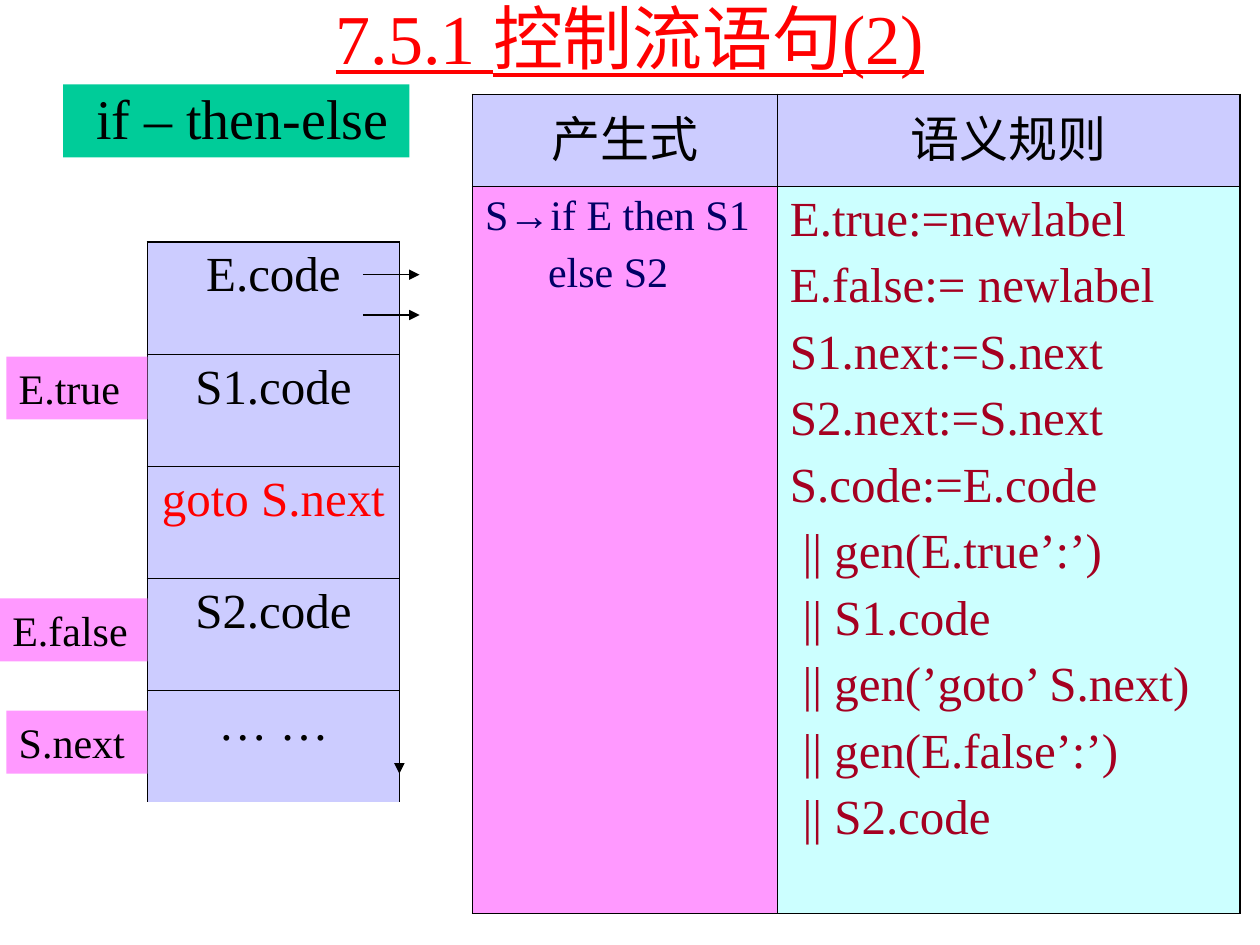
from dataclasses import dataclass

import pptx
import pptx.dml.color
import pptx.enum.shapes
import pptx.enum.text
import pptx.oxml
import pptx.oxml.ns
import pptx.util

Inches, Pt = pptx.util.Inches, pptx.util.Pt
RGB = pptx.dml.color.RGBColor.from_string
ALIGN, ANCHOR = pptx.enum.text.PP_ALIGN, pptx.enum.text.MSO_ANCHOR
NS = pptx.oxml.ns.nsdecls("a")


@dataclass(frozen=True)
class Theme:
    font: str = "Times New Roman"
    black: str = "000000"
    red: str = "FF0000"
    navy: str = "000066"
    maroon: str = "A50021"
    green: str = "00CC99"
    lavender: str = "CCCCFF"
    pink: str = "FF99FF"
    aqua: str = "CCFFFF"
    title: int = 40
    heading: int = 32
    body: int = 28
    label: int = 24
    outer: float = 1.08
    inner: float = 0.45
    arrow: float = 0.75


THEME = Theme()


def write(frame, text, *, size, color=THEME.black, align=ALIGN.LEFT, gap=0,
          spacing=None, underline=None, indents=()):
    """Fill a frame, one paragraph a line; indents gives the left margin of each."""
    frame.word_wrap = True
    for i, line in enumerate(text.split("\n")):
        para = frame.paragraphs[0] if i == 0 else frame.add_paragraph()
        if i < len(indents) and indents[i]:
            para._p.get_or_add_pPr().set("marL", str(Inches(indents[i])))
        para.alignment = align
        para.line_spacing = spacing
        if i:
            para.space_before = Pt(gap)
        run = para.add_run()
        run.text = line
        run.font.name, run.font.size = THEME.font, Pt(size)
        run.font.color.rgb = RGB(color)
        run.font.underline = underline


class SlideBuilder:
    def __init__(self, slide, theme):
        self.slide, self.theme = slide, theme

    def title(self, text, left, top, width, height):
        box = self.slide.shapes.add_textbox(*map(Inches, (left, top, width, height)))
        frame = box.text_frame
        frame.margin_top = frame.margin_bottom = 0
        frame.vertical_anchor = ANCHOR.MIDDLE
        write(frame, text, size=self.theme.title, color=self.theme.red,
              align=ALIGN.CENTER, underline=True)

    def box(self, text, left, top, width, height, fill, **text_format):
        shape = self.slide.shapes.add_shape(
            pptx.enum.shapes.MSO_SHAPE.RECTANGLE,
            *map(Inches, (left, top, width, height)))
        shape.shadow.inherit = False
        shape.fill.solid()
        shape.fill.fore_color.rgb = RGB(fill)
        shape.line.fill.background()
        shape.text_frame.vertical_anchor = ANCHOR.TOP
        write(shape.text_frame, text, **text_format)

    def table(self, left, top, widths, heights, rows, open_bottom=False):
        """Each cell is (text, fill, text format)."""
        table = self.slide.shapes.add_table(
            len(heights), len(widths), Inches(left), Inches(top),
            Inches(sum(widths)), Inches(sum(heights))).table
        table.first_row = table.horz_banding = False
        for column, width in zip(table.columns, widths):
            column.width = Inches(width)
        for row, height in zip(table.rows, heights):
            row.height = Inches(height)
        for r, row in enumerate(rows):
            for c, (text, fill, text_format) in enumerate(row):
                cell = table.cell(r, c)
                cell.fill.solid()
                cell.fill.fore_color.rgb = RGB(fill)
                write(cell.text_frame, text, **text_format)
                at_bottom = r == len(rows) - 1
                edges = {"L": c == 0, "R": c == len(row) - 1,
                         "T": r == 0, "B": at_bottom}
                self.borders(cell, edges, "B" if at_bottom and open_bottom else "")

    def borders(self, cell, edges, hidden):
        for i, (side, is_outer) in enumerate(edges.items()):
            width = Pt(self.theme.outer if is_outer else self.theme.inner)
            paint = ("<a:noFill/>" if side == hidden else
                     f'<a:solidFill><a:srgbClr val="{self.theme.black}"/></a:solidFill>')
            cell._tc.get_or_add_tcPr().insert(i, pptx.oxml.parse_xml(
                f'<a:ln{side} {NS} w="{int(width)}">{paint}</a:ln{side}>'))

    def arrow(self, x1, y1, x2, y2):
        arrow = self.slide.shapes.add_connector(
            pptx.enum.shapes.MSO_CONNECTOR.STRAIGHT, *map(Inches, (x1, y1, x2, y2)))
        arrow.line.color.rgb = RGB(self.theme.black)
        arrow.line.width = Pt(self.theme.arrow)
        arrow.line._get_or_add_ln().append(
            pptx.oxml.parse_xml(f'<a:tailEnd {NS} type="triangle"/>'))
        arrow._element.spPr.append(pptx.oxml.parse_xml(f"<a:effectLst {NS}/>"))


def main():
    deck = pptx.Presentation()
    deck.slide_width, deck.slide_height = Inches(10), Inches(7.5)
    t = THEME
    page = SlideBuilder(deck.slides.add_slide(deck.slide_layouts[6]), t)

    # Title and statement form
    page.title("7.5.1 控制流语句(2)", 0.75, 0.08, 8.5, 0.42)
    page.box("if – then-else", 0.5, 0.67, 2.75, 0.58, t.green, size=t.heading,
             align=ALIGN.CENTER, spacing=0.9, indents=[0.1])

    # Production and its semantic rules
    centered = dict(size=t.body, align=ALIGN.CENTER)
    production = "S→if E then S1\nelse S2"
    definitions = ["E.true:=newlabel", "E.false:= newlabel", "S1.next:=S.next",
                   "S2.next:=S.next", "S.code:=E.code"]
    code_parts = ["|| gen(E.true’:’)", "|| S1.code", "|| gen(’goto’ S.next)",
                  "|| gen(E.false’:’)", "|| S2.code"]
    rule_indents = [0] * len(definitions) + [0.1] * len(code_parts)
    page.table(3.75, 0.75, [2.42, 3.67], [0.73, 5.77], [
        [("产生式", t.lavender, centered), ("语义规则", t.lavender, centered)],
        [(production, t.pink,
          dict(size=t.label, color=t.navy, gap=6, indents=[0, 0.5])),
         ("\n".join(definitions + code_parts), t.aqua,
          dict(size=t.body, color=t.maroon, gap=7, indents=rule_indents))],
    ])

    # Code layout
    code_left, code_top, code_width, block_height = 1.17, 1.92, 2, 0.89
    blocks = [("E.code", t.black), ("S1.code", t.black), ("goto S.next", t.red),
              ("S2.code", t.black), ("… …", t.black)]
    page.table(code_left, code_top, [code_width], [block_height] * len(blocks),
               [[(text, t.lavender, dict(centered, color=color))]
                for text, color in blocks], open_bottom=True)

    # Jump labels, flush with the code blocks
    for label, left, top in [("E.true", 0.05, 2.83), ("E.false", 0, 4.75),
                             ("S.next", 0.05, 5.64)]:
        page.box(label, left, top, code_left - left, 0.5, t.pink, size=t.label)

    # Jumps
    code_right = code_left + code_width
    page.arrow(code_right, 4.3, code_right, 6.14)
    for exit_y in (2.18, 2.5):
        page.arrow(2.88, exit_y, 3.33, exit_y)

    deck.save("out.pptx")


if __name__ == "__main__":
    main()
